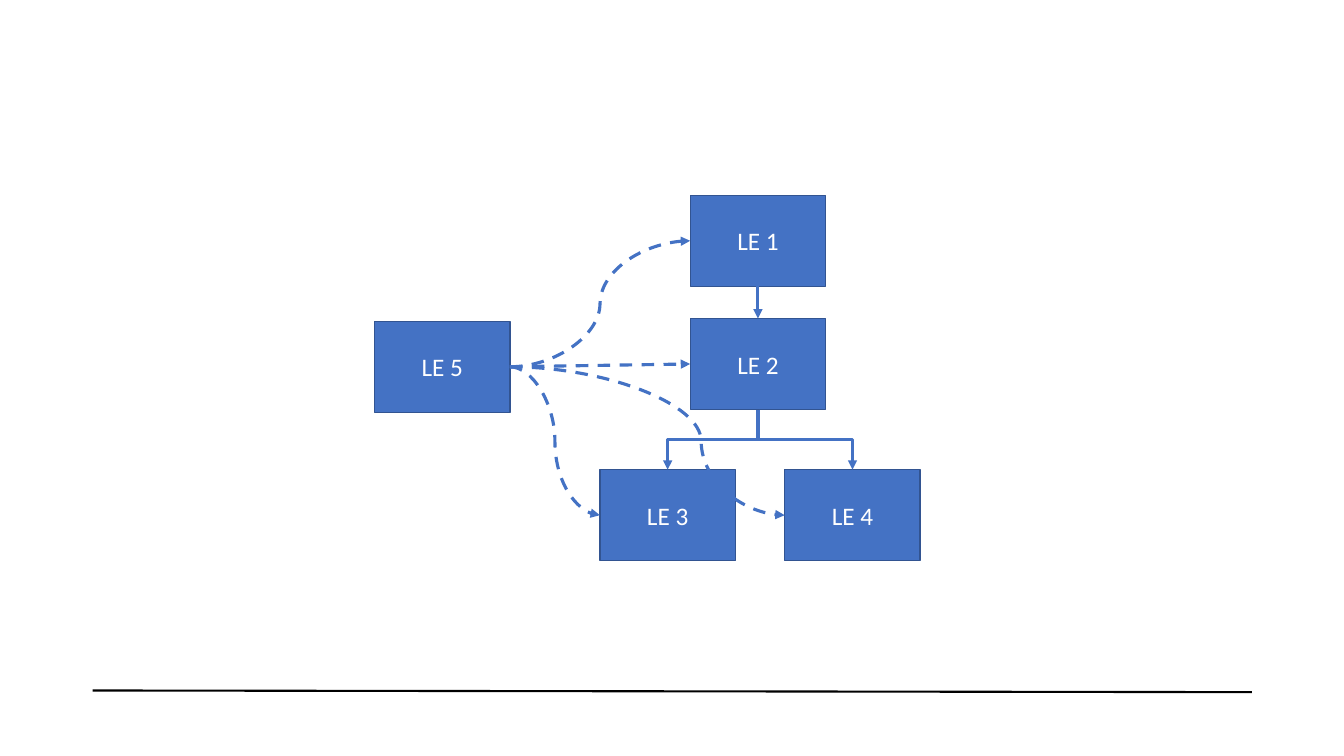
from lxml.etree import SubElement
from pptx import Presentation
from pptx.dml.color import RGBColor
from pptx.enum.dml import MSO_LINE as Dash
from pptx.enum.shapes import MSO_CONNECTOR as Kind, MSO_SHAPE as Preset
from pptx.enum.text import MSO_ANCHOR as Anchor, PP_ALIGN as Align
from pptx.oxml.ns import qn
from pptx.util import Pt

BLUE, BORDER, WHITE, BLACK = "4472C4", "325491", "FFFFFF", "000000"
BOTTOM, LEFT, RIGHT, TOP = 2, 1, 3, 0
BOX_WIDTH, BOX_HEIGHT = 96.75, 65
BOX_FONT = {"name": "Calibri", "size": Pt(18)}
BOX_OFFSETS = {
    "LE 1": (225.5, 0),
    "LE 2": (225.5, 88),
    "LE 5": (0, 90),
    "LE 3": (161, 196),
    "LE 4": (293, 196),
}
OWNERSHIP = [("LE 1", "LE 2"), ("LE 2", "LE 4"), ("LE 2", "LE 3")]
SERVICES = [
    ("LE 1", Kind.CURVE, 0.5),
    ("LE 2", Kind.STRAIGHT, None),
    ("LE 3", Kind.CURVE, 0.5),
    ("LE 4", Kind.CURVE, 0.696),
]


def color(value):
    return RGBColor.from_string(value)


def apply_format(target, values):
    for name, value in values.items():
        setattr(target, name, value)


def style_line(connector, line_color, width, dash=None, arrow=False):
    connector.line.color.rgb = color(line_color)
    connector.line.width = Pt(width)
    if dash:
        connector.line.dash_style = dash
    properties = connector._element.spPr
    if arrow:
        SubElement(properties.find(qn("a:ln")), qn("a:tailEnd"), type="triangle")
    SubElement(properties, qn("a:effectLst"))


def add_entity(slide, name, left, top):
    shape = slide.shapes.add_shape(
        Preset.RECTANGLE, Pt(left), Pt(top), Pt(BOX_WIDTH), Pt(BOX_HEIGHT)
    )
    shape.shadow.inherit = False
    shape.fill.solid()
    shape.fill.fore_color.rgb = color(BLUE)
    shape.line.color.rgb = color(BORDER)
    shape.line.width = Pt(1)
    shape.text_frame.text = name
    shape.text_frame.vertical_anchor = Anchor.MIDDLE
    paragraph = shape.text_frame.paragraphs[0]
    paragraph.alignment = Align.CENTER
    font = paragraph.runs[0].font
    apply_format(font, BOX_FONT)
    font.color.rgb = color(WHITE)
    return shape


def add_link(slide, kind, source, source_side, target, target_side, dash=None):
    connector = slide.shapes.add_connector(kind, 0, 0, 0, 0)
    connector.begin_connect(source, source_side)
    connector.end_connect(target, target_side)
    style_line(connector, BLUE, 2.25, dash, arrow=True)
    return connector


def turn_downward(connector):
    to_right = connector.end_x > connector.begin_x
    left, top = connector.left, connector.top
    width, height = connector.width, connector.height
    frame = connector._element.spPr.find(qn("a:xfrm"))
    frame.set("rot", str((270 if to_right else 90) * 60000))
    frame.set("flipH", "1" if to_right else "0")
    apply_format(connector, {
        "left": left + (width - height) // 2,
        "top": top + (height - width) // 2,
        "width": height,
        "height": width,
    })


def set_bend(connector, share):
    guides = connector._element.spPr.find(qn("a:prstGeom")).find(qn("a:avLst"))
    SubElement(guides, qn("a:gd"), name="adj1", fmla=f"val {round(share * 100000)}")


def add_entity_diagram(slide, left, top):
    entities = {
        name: add_entity(slide, name, left + x, top + y)
        for name, (x, y) in BOX_OFFSETS.items()
    }
    for parent, child in OWNERSHIP:
        source, target = entities[parent], entities[child]
        aligned = source.left == target.left
        kind = Kind.STRAIGHT if aligned else Kind.ELBOW
        connector = add_link(slide, kind, source, BOTTOM, target, TOP)
        if not aligned:
            turn_downward(connector)
    for name, kind, bend in SERVICES:
        connector = add_link(
            slide, kind, entities["LE 5"], RIGHT, entities[name], LEFT, Dash.DASH
        )
        if bend:
            set_bend(connector, bend)


def add_footer_rule(slide, left, top, width, drop):
    rule = slide.shapes.add_connector(
        Kind.STRAIGHT, Pt(left), Pt(top), Pt(left + width), Pt(top + drop)
    )
    style_line(rule, BLACK, 1.5)


def main():
    presentation = Presentation()
    presentation.slide_width, presentation.slide_height = Pt(960), Pt(540)
    slide = presentation.slides.add_slide(presentation.slide_layouts[6])
    add_footer_rule(slide, 66.25, 493.2, 828, 1.2)
    add_entity_diagram(slide, 267.5, 139.5)
    presentation.save("out.pptx")


if __name__ == "__main__":
    main()
